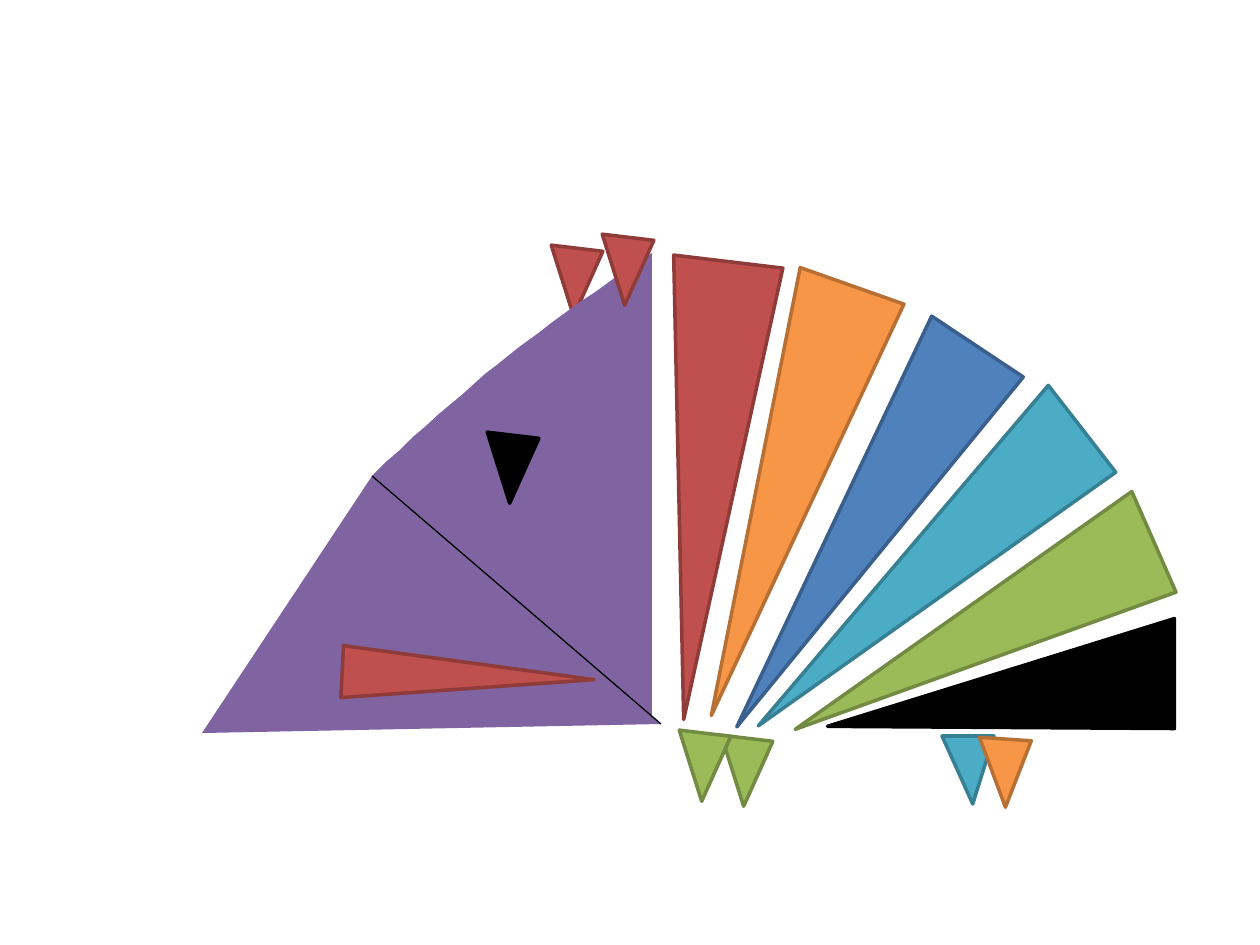
from pptx import Presentation
from pptx.dml.color import RGBColor
from pptx.enum.shapes import MSO_CONNECTOR, MSO_SHAPE
from pptx.oxml.ns import qn
from pptx.util import Inches, Pt
from lxml import etree

EMU_PER_PX = 914400 / 126
BLACK = RGBColor(0x00, 0x00, 0x00)
PURPLE = RGBColor(0x80, 0x64, 0xA2)
# Each triangle style is a fill and a darker outline
INK = (BLACK, BLACK)
RED = (RGBColor(0xC0, 0x50, 0x4D), RGBColor(0x8E, 0x3B, 0x39))
ORANGE = (RGBColor(0xF7, 0x96, 0x46), RGBColor(0xB7, 0x6F, 0x34))
BLUE = (RGBColor(0x4F, 0x81, 0xBD), RGBColor(0x3A, 0x5F, 0x8C))
TEAL = (RGBColor(0x4B, 0xAC, 0xC6), RGBColor(0x37, 0x7F, 0x92))
GREEN = (RGBColor(0x9B, 0xBB, 0x59), RGBColor(0x73, 0x8A, 0x42))


def px(n):
    return round(n * EMU_PER_PX)


def bezier(p0, p1, p2, p3, steps=24):
    """Points along a cubic curve, without its start."""
    points = []
    for i in range(1, steps + 1):
        t = i / steps
        u = 1 - t
        points.append(tuple(u**3 * a + 3 * u * u * t * b + 3 * u * t * t * c + t**3 * d
                            for a, b, c, d in zip(p0, p1, p2, p3)))
    return points


class Canvas:
    def __init__(self, slide, outline=2, apex=0.41):
        self.slide, self.outline, self.apex = slide, outline, apex

    def triangle(self, x, y, w, h, rotation, style, apex=None):
        s = self.slide.shapes.add_shape(MSO_SHAPE.ISOSCELES_TRIANGLE,
                                        px(x), px(y), px(w), px(h))
        s.adjustments[0] = self.apex if apex is None else apex
        s.rotation = rotation
        s.shadow.inherit = False
        s.fill.solid()
        s.fill.fore_color.rgb, s.line.color.rgb = style
        s.line.width = Pt(self.outline)

    def small_triangle(self, x, y, style, rotation=186.8):
        self.triangle(x, y, 52, 68, rotation, style)

    def polygon(self, points, color):
        builder = self.slide.shapes.build_freeform(*points[0], scale=EMU_PER_PX)
        builder.add_line_segments(points[1:], close=True)
        s = builder.convert_to_shape()
        s.shadow.inherit = False
        s.fill.solid()
        s.fill.fore_color.rgb = color
        s.line.fill.background()

    def line(self, x1, y1, x2, y2, color, width):
        c = self.slide.shapes.add_connector(MSO_CONNECTOR.STRAIGHT,
                                            px(x1), px(y1), px(x2), px(y2))
        c.line.color.rgb = color
        c.line.width = Pt(width)
        etree.SubElement(c._element.spPr, qn("a:effectLst"))


prs = Presentation()
prs.slide_width, prs.slide_height = Inches(10), Inches(7.5)
canvas = Canvas(prs.slides.add_slide(prs.slide_layouts[6]))

# Lower spines
canvas.triangle(946, 500, 110, 347, 270, INK, apex=0.02)
canvas.triangle(914, 421, 110, 404, 246.3, GREEN, apex=0.25)
canvas.triangle(854, 344, 110, 438, 232.2, TEAL, apex=0.17)

# Lower jaw and rear ear
canvas.polygon([(372, 476), (661, 724), (202, 733)], PURPLE)
canvas.small_triangle(547, 248, RED)

# Upper spines
for x, y, h, rotation, style in [(798, 309, 450, 213.6, BLUE),
                                 (722, 273, 452, 199.4, ORANGE),
                                 (646, 260, 460, 186.8, RED)]:
    canvas.triangle(x, y, 110, h, rotation, style)

# Head with a curved brow
brow = bezier((652, 253), (553, 320), (488, 365), (372, 476))
canvas.polygon([(652, 721), (652, 253)] + brow + [(524, 615)], PURPLE)

# Front ear, eye and mouth
canvas.small_triangle(598, 237, RED)
canvas.small_triangle(483, 435, INK)
canvas.triangle(442, 552, 52, 252, 92.9, RED)

# Feet
canvas.small_triangle(717, 738, GREEN)
canvas.small_triangle(675, 733, GREEN)
canvas.small_triangle(942, 736, TEAL, rotation=180)
canvas.small_triangle(977, 739, ORANGE, rotation=183.9)

# Jaw line
canvas.line(372, 476, 661, 724, BLACK, 0.75)

prs.save("out.pptx")
